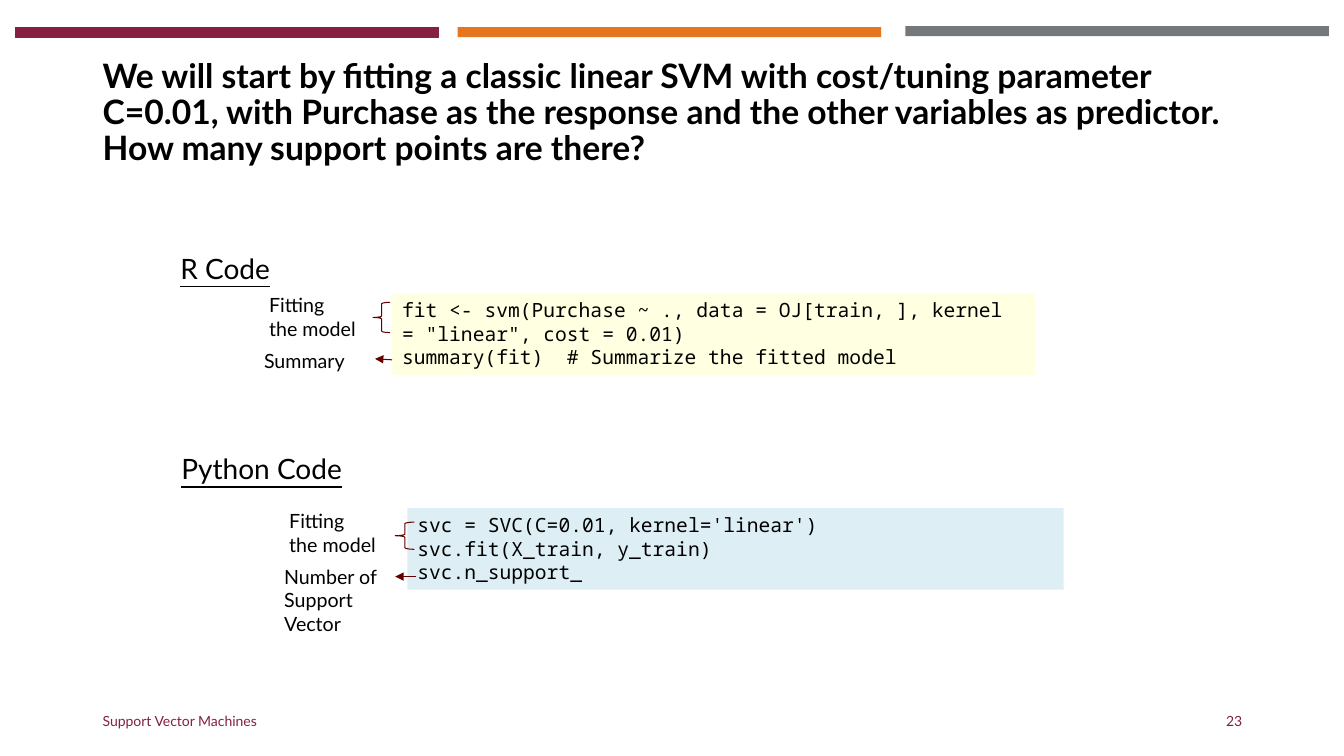
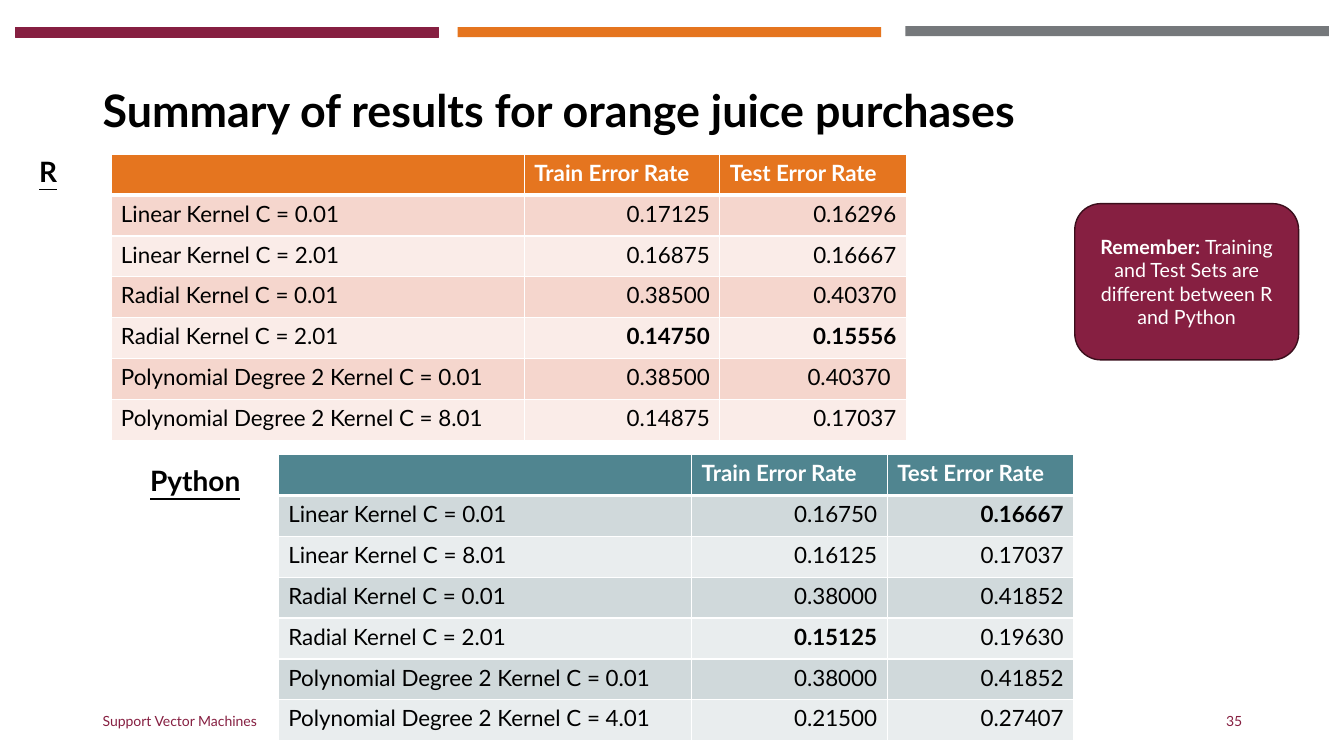
from lxml import etree
from pptx import Presentation
from pptx.dml.color import RGBColor
from pptx.enum.shapes import MSO_CONNECTOR, MSO_SHAPE
from pptx.enum.text import MSO_ANCHOR, PP_ALIGN
from pptx.oxml.ns import qn
from pptx.util import Inches, Pt

LEFT, RIGHT, CENTER = PP_ALIGN.LEFT, PP_ALIGN.RIGHT, PP_ALIGN.CENTER
TOP, MIDDLE = MSO_ANCHOR.TOP, MSO_ANCHOR.MIDDLE
RECT, ROUND = MSO_SHAPE.RECTANGLE, MSO_SHAPE.ROUNDED_RECTANGLE
BRACE, STRAIGHT = MSO_SHAPE.LEFT_BRACE, MSO_CONNECTOR.STRAIGHT

SANS, MONO = "Lato", "Noto Sans Mono"
COLORS = {
    "maroon": "861F41", "orange": "E5751F", "gray": "75787B",
    "black": "000000", "white": "FFFFFF", "wine": "3B0E1C",
    "mark": "650000", "cream": "FFFFE1", "sky": "DEEEF5",
    "peach": "F5D6CD", "blush": "FAECE8",
    "teal": "508590", "mist": "D0D9DB", "fog": "E9EDEE",
}
FOOTER = "Support Vector Machines"
BARS = [("maroon", 0.15, 0.27), ("orange", 4.54, 0.27), ("gray", 8.98, 0.26)]

# Boxes are (left, top, width, height) in inches
CODE = {
    "title": "We will start by fitting a classic linear SVM with cost/tuning "
             "parameter C=0.01, with Purchase as the response and the other "
             "variables as predictor. How many support points are there?",
    "size": 24,
    "page": "23",
    "parts": [
        {
            "head": "R Code", "spot": (1.69, 2.27),
            "fill": "cream", "box": (3.89, 2.91, 6.38, 0.81),
            "code": ['fit <- svm(Purchase ~ ., data = OJ[train, ], '
                     'kernel = "linear", cost = 0.01)',
                     "summary(fit)  # Summarize the fitted model"],
            "notes": [(["Fitting", "the model"], (2.57, 2.86, 1.35, 0.57)),
                      (["Summary"], (2.52, 3.41, 1.18, 0.34))],
            "brace": (3.7, 3, 0.17, 0.3),
            "arrow": (3.89, 3.57, 3.72, 3.56),
        },
        {
            "head": "Python Code", "spot": (1.7, 4.26),
            "fill": "sky", "box": (4.04, 5.04, 6.51, 0.81),
            "code": ["svc = SVC(C=0.01, kernel='linear')",
                     "svc.fit(X_train, y_train)",
                     "svc.n_support_"],
            "notes": [(["Fitting", "the model"], (2.77, 5, 1.17, 0.57)),
                      (["Number of Support Vector"], (2.72, 5.55, 1.35, 0.81))],
            "brace": (3.92, 5.18, 0.19, 0.27),
            "arrow": (4.13, 5.72, 3.92, 5.72),
        },
    ],
}

HEADS = ("", "Train Error Rate", "Test Error Rate")
COLS = (4.1, 1.94, 1.85)
RESULTS = {
    "title": "Summary of results for orange juice purchases",
    "size": 32,
    "page": "35",
    "callout": [("Remember: ", True),
                ("Training and Test Sets are different between R and Python",
                 False)],
    "tables": [
        {
            "head": "R", "spot": (0.29, 1.31), "at": (1.1, 1.53),
            "fills": ("orange", "peach", "blush"),
            "best": {"0.14750", "0.15556"},
            "rows": [
                ("Linear Kernel C = 0.01", "0.17125", "0.16296"),
                ("Linear Kernel C = 2.01", "0.16875", "0.16667"),
                ("Radial Kernel C = 0.01", "0.38500", "0.40370"),
                ("Radial Kernel C = 2.01", "0.14750", "0.15556"),
                ("Polynomial Degree 2 Kernel C = 0.01", "0.38500", "0.40370 "),
                ("Polynomial Degree 2 Kernel C = 8.01", "0.14875", "0.17037"),
            ],
        },
        {
            "head": "Python", "spot": (1.39, 4.38), "at": (2.76, 4.51),
            "fills": ("teal", "mist", "fog"),
            "best": {"0.15125", "0.16667"},
            "rows": [
                ("Linear Kernel C = 0.01", "0.16750", "0.16667"),
                ("Linear Kernel C = 8.01", "0.16125", "0.17037"),
                ("Radial Kernel C = 0.01", "0.38000", "0.41852"),
                ("Radial Kernel C = 2.01", "0.15125", "0.19630"),
                ("Polynomial Degree 2 Kernel C = 0.01", "0.38000", "0.41852"),
                ("Polynomial Degree 2 Kernel C = 4.01", "0.21500", "0.27407"),
            ],
        },
    ],
}


def rgb(name):
    return RGBColor.from_string(COLORS[name])


def inches(nums):
    return [Inches(n) for n in nums]


def write(frame, paras, size=14, color="black", font=SANS, bold=False,
          under=False, align=LEFT, space=None):
    """Fill a text frame; a paragraph is a string or a list of (text, bold)."""
    for i, para in enumerate(paras):
        par = frame.paragraphs[0] if i == 0 else frame.add_paragraph()
        par.alignment = align
        if space:
            par.line_spacing = space
        for text, heavy in [(para, bold)] if isinstance(para, str) else para:
            run = par.add_run()
            run.text = text
            run.font.name, run.font.size = font, Pt(size)
            run.font.bold, run.font.underline = heavy, under
            run.font.color.rgb = rgb(color)


def label(slide, box, paras, anchor=TOP, **form):
    frame = slide.shapes.add_textbox(*inches(box)).text_frame
    frame.word_wrap = True
    frame.vertical_anchor = anchor
    write(frame, paras, **form)


def shape(slide, kind, box, fill=None, line=None, width=0.75):
    item = slide.shapes.add_shape(kind, *inches(box))
    item.shadow.inherit = False
    if fill:
        item.fill.solid()
        item.fill.fore_color.rgb = rgb(fill)
    else:
        item.fill.background()
    if line:
        item.line.color.rgb = rgb(line)
        item.line.width = Pt(width)
    else:
        item.line.fill.background()
    return item


def arrow(slide, ends):
    item = slide.shapes.add_connector(STRAIGHT, *inches(ends))
    item.line.color.rgb = rgb("mark")
    item.line.width = Pt(0.75)
    etree.SubElement(item.line._get_or_add_ln(), qn("a:tailEnd"),
                     type="triangle")
    etree.SubElement(item._element.spPr, qn("a:effectLst"))


def heading(slide, spot, text, bold=False):
    label(slide, (*spot, 2.22, 0.61), [text], anchor=MIDDLE, size=20,
          bold=bold, under=True, space=1.5)


def edge(cell, base):
    """Give a cell white borders, the bottom one base points wide."""
    props = cell._tc.get_or_add_tcPr()
    for i, (side, width) in enumerate(
            [("lnL", 1), ("lnR", 1), ("lnT", 1), ("lnB", base)]):
        line = etree.Element(qn("a:" + side), w=str(Pt(width)))
        fill = etree.SubElement(line, qn("a:solidFill"))
        etree.SubElement(fill, qn("a:srgbClr"), val=COLORS["white"])
        props.insert(i, line)


def grid(slide, data):
    rows = [HEADS, *data["rows"]]
    box = (*data["at"], sum(COLS), 2.84)
    table = slide.shapes.add_table(len(rows), len(COLS), *inches(box)).table
    for col, width in zip(table.columns, COLS):
        col.width = Inches(width)
    top, odd, even = data["fills"]
    for r, row in enumerate(rows):
        head = r == 0
        for c, text in enumerate(row):
            cell = table.cell(r, c)
            cell.fill.solid()
            cell.fill.fore_color.rgb = rgb(top if head else
                                           odd if r % 2 else even)
            edge(cell, 3 if head else 1)
            write(cell.text_frame, [text], size=16,
                  color="white" if head else "black",
                  bold=head or text in data["best"],
                  align=LEFT if head or c == 0 else RIGHT)


def start(deck, data):
    """Add a slide with the shared bars, title and footer."""
    slide = deck.slides.add_slide(deck.slide_layouts[6])
    for color, left, top in BARS:
        shape(slide, RECT, (left, top, 4.2, 0.1), color,
              "maroon" if color == "maroon" else None)
    label(slide, (0.92, 0.4, 11.5, 1.45), [data["title"]], anchor=MIDDLE,
          size=data["size"], bold=True, space=0.9)
    small = {"anchor": MIDDLE, "size": 10, "color": "maroon"}
    label(slide, (0.92, 6.95, 4.5, 0.4), [FOOTER], **small)
    label(slide, (9.42, 6.95, 3, 0.4), [data["page"]], align=RIGHT, **small)
    return slide


def code_slide(deck):
    slide = start(deck, CODE)
    for part in CODE["parts"]:
        heading(slide, part["spot"], part["head"])
        frame = shape(slide, RECT, part["box"], part["fill"]).text_frame
        frame.word_wrap = True
        frame.vertical_anchor = TOP
        write(frame, part["code"], font=MONO)
        for paras, box in part["notes"]:
            label(slide, box, paras)
        shape(slide, BRACE, part["brace"], line="mark")
        arrow(slide, part["arrow"])


def result_slide(deck):
    slide = start(deck, RESULTS)
    for data in RESULTS["tables"]:
        heading(slide, data["spot"], data["head"], bold=True)
        grid(slide, data)
    note = shape(slide, ROUND, (10.66, 2.02, 2.22, 1.55), "maroon", "wine", 1)
    note.text_frame.word_wrap = True
    note.text_frame.vertical_anchor = MIDDLE
    write(note.text_frame, [RESULTS["callout"]], color="white", align=CENTER)


def main():
    deck = Presentation()
    deck.slide_width, deck.slide_height = Inches(13.33), Inches(7.5)
    code_slide(deck)
    result_slide(deck)
    deck.save("out.pptx")


if __name__ == "__main__":
    main()
